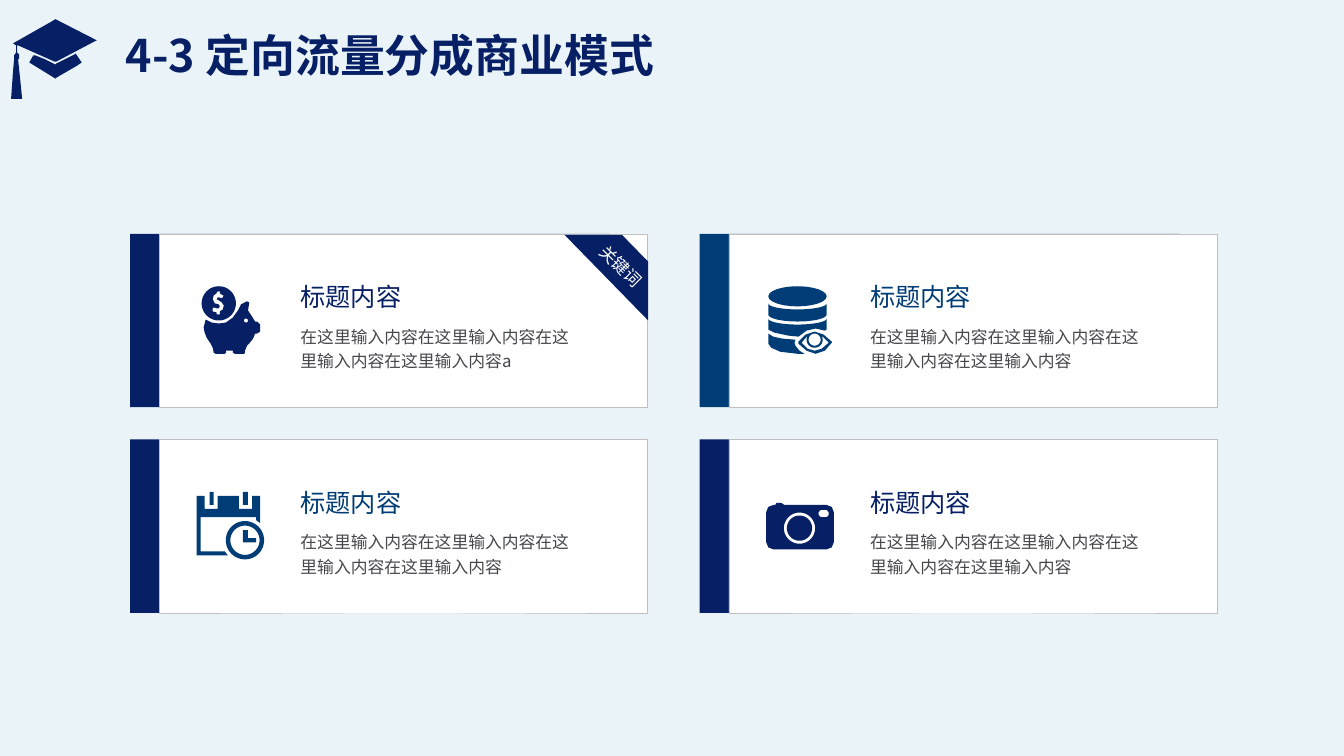
from dataclasses import dataclass
from math import cos, radians, sin

from lxml import etree
from pptx import Presentation
from pptx.dml.color import RGBColor
from pptx.enum.shapes import MSO_SHAPE
from pptx.enum.text import MSO_ANCHOR, MSO_AUTO_SIZE, PP_ALIGN
from pptx.oxml.ns import qn
from pptx.util import Pt

RECTANGLE, STRIPE = MSO_SHAPE.RECTANGLE, MSO_SHAPE.DIAGONAL_STRIPE
TOP, MIDDLE, BOTTOM = MSO_ANCHOR.TOP, MSO_ANCHOR.MIDDLE, MSO_ANCHOR.BOTTOM
LEFT, CENTER = PP_ALIGN.LEFT, PP_ALIGN.CENTER
FIT_TEXT, FIXED = MSO_AUTO_SIZE.SHAPE_TO_FIT_TEXT, MSO_AUTO_SIZE.NONE
EMU_PER_PX = 9144  # 100 px to the inch


@dataclass(frozen=True)
class Theme:
    font: str = "Noto Sans CJK SC"
    background: str = "EAF4F8"
    navy: str = "071F65"
    blue: str = "003D76"
    white: str = "FFFFFF"
    border: str = "BFBFBF"
    body: str = "454749"
    title_size: int = 32
    heading_size: int = 18
    body_size: int = 12


THEME = Theme()


def px(value):
    return round(value * EMU_PER_PX)


def arc(center_x, center_y, radius_x, radius_y, start, end, steps=24):
    """Points of an elliptical arc; angles run clockwise from the right."""
    angles = [radians(start + (end - start) * step / steps) for step in range(steps + 1)]
    return [(center_x + radius_x * cos(a), center_y + radius_y * sin(a)) for a in angles]


def circle(center_x, center_y, radius):
    return arc(center_x, center_y, radius, radius, 0, 360, 48)


def box_outline(left, top, right, bottom):
    return [(left, top), (right, top), (right, bottom), (left, bottom)]


# Icon outlines are measured from the top left corner of their card.
PIGGY_BANK = [
    circle(88, 69, 17),
    [(87, 57), (86, 58), (86, 59), (83, 61), (82, 65), (84, 69), (88, 70), (89, 72),
     (88, 74), (86, 74), (83, 73), (82, 74), (82, 77), (86, 78), (86, 80), (89, 80),
     (89, 77), (92, 75), (93, 71), (91, 68), (88, 66), (86, 65), (87, 63), (88, 63),
     (91, 64), (92, 63), (93, 61), (92, 61), (89, 59), (89, 57)],
    [(116, 67), (118, 68), (118, 70), (117, 76), (121, 82), (124, 87), (126, 87),
     (129, 90), (129, 97), (126, 99), (124, 99), (122, 104), (118, 109), (116, 111),
     (114, 116), (114, 118), (113, 119), (104, 119), (102, 118), (102, 116), (95, 116),
     (95, 118), (94, 119), (85, 119), (83, 118), (82, 113), (80, 109), (76, 103),
     (74, 98), (73, 93), (75, 85), (81, 88), (88, 89), (95, 88), (102, 83), (107, 76),
     (110, 70)],
    circle(115, 86, 2),
]
DATABASE = [
    arc(97, 62, 29, 10, 0, 360),
    arc(97, 69, 29, 6, 180, 0) + arc(97, 80, 29, 7, 0, 180),
    arc(97, 84, 29, 6, 180, 0)
    + [(126, 95), (124, 96), (115, 94), (106, 96), (98, 102), (88, 101), (74, 98), (68, 95)],
    [(68, 99), (73, 102), (82, 104), (95, 105), (94, 108), (95, 111), (99, 116),
     (104, 119), (97, 119), (80, 117), (71, 113), (68, 109)],
    [(98, 107), (105, 100), (114, 97), (123, 100), (131, 107), (131, 108), (124, 116),
     (115, 119), (106, 116), (98, 109)],
    arc(114, 105, 8, 8, -30, 210)
    + [(101, 108), (107, 114), (114, 116), (121, 114), (128, 108)],
    circle(114, 105, 6),
]
CALENDAR = [
    [(66, 56), (74, 56), (74, 69), (87, 69), (87, 56), (108, 56), (108, 69), (121, 69),
     (121, 56), (129, 56), (129, 83), (125, 80), (125, 77), (70, 77), (70, 111),
     (94, 111), (97, 115), (66, 115)],
    box_outline(79, 52, 83, 65),
    box_outline(112, 52, 117, 65),
    circle(114, 100, 19),
    circle(114, 100, 14.5),
    [(112, 90), (117, 90), (117, 98), (125, 98), (125, 102), (112, 102)],
]
CAMERA = [
    [(76, 63), (81, 63), (84, 65), (126, 65), (131, 67), (133, 72), (133, 102),
     (131, 107), (126, 109), (73, 109), (68, 107), (66, 102), (66, 72), (68, 67),
     (73, 65), (75, 65)],
    circle(99, 88, 15.5),
    circle(99, 88, 12.5),
    [(120, 70), (126, 70), (128, 72), (128, 75), (126, 77), (120, 77), (118, 75), (118, 72)],
]
CAP_BOARD = [[
    (17, 45), (17, 52), (19, 54), (19, 58), (18, 59), (20, 78), (22, 98), (11, 98),
    (13, 70), (14, 59), (14, 55), (16, 52), (16, 45), (13, 43), (50, 22), (55, 19),
    (96, 40), (92, 42), (56, 61), (54, 61), (18, 45)]]
CAP_BASE = [[
    (29, 62), (33, 55), (35, 55), (45, 59), (55, 64), (56, 63), (74, 54), (75, 53),
    (81, 62), (75, 66), (56, 77), (55, 78)]]

HEADING = "标题内容"
BODY = "在这里输入内容" * 4
CARDS = [
    (PIGGY_BANK, THEME.navy, BODY + "a"),
    (DATABASE, THEME.blue, BODY),
    (CALENDAR, THEME.blue, BODY),
    (CAMERA, THEME.navy, BODY),
]
BAR_COLORS = [THEME.navy, THEME.blue, THEME.navy, THEME.navy]


def paint(shape, fill, line=None):
    shape.shadow.inherit = False
    shape.fill.solid()
    shape.fill.fore_color.rgb = RGBColor.from_string(fill)
    if line:
        shape.line.color.rgb = RGBColor.from_string(line)
        shape.line.width = Pt(0.25)
    else:
        shape.line.fill.background()


def add_block(slide, kind, box, fill, line=None):
    shape = slide.shapes.add_shape(kind, *map(px, box))
    paint(shape, fill, line)
    return shape


def add_outline(slide, left, top, contours, fill):
    """Draw all contours as one shape, so inner contours become holes."""
    placed = [[(px(left + x), px(top + y)) for x, y in contour] for contour in contours]
    builder = slide.shapes.build_freeform(*placed[0][0], scale=1.0)
    for index, contour in enumerate(placed):
        if index:
            builder.move_to(*contour[0])
        builder.add_line_segments(contour[1:], close=True)
    paint(builder.convert_to_shape(), fill)


def add_text(slide, box, text, *, size, color, bold=False, anchor=TOP, align=LEFT,
             spacing=None, wrap=True, inset=True, fit=FIXED, rotation=0):
    shape = slide.shapes.add_textbox(*map(px, box))
    shape.rotation = rotation
    frame = shape.text_frame
    frame.word_wrap, frame.auto_size, frame.vertical_anchor = wrap, fit, anchor
    if not inset:
        frame.margin_left = frame.margin_right = frame.margin_top = frame.margin_bottom = 0
    paragraph = frame.paragraphs[0]
    paragraph.alignment = align
    if spacing:
        paragraph.line_spacing = spacing
    run = paragraph.add_run()
    run.text = text
    font = run.font
    font.name, font.size, font.bold = THEME.font, Pt(size), bold
    font.color.rgb = RGBColor.from_string(color)
    east_asian = etree.SubElement(run._r.get_or_add_rPr(), qn("a:ea"))
    east_asian.set("typeface", THEME.font)


def add_header(slide, left, top):
    for contours in (CAP_BOARD, CAP_BASE):
        add_outline(slide, left, top, contours, THEME.navy)
    add_text(slide, (left + 115, top + 9, 1209, 77), "4-3 定向流量分成商业模式",
             size=THEME.title_size, color=THEME.navy, bold=True, anchor=BOTTOM, spacing=0.9)


def add_card(slide, left, top, icon, color, body, bar_color):
    add_block(slide, RECTANGLE, (left, top, 476, 172), bar_color)
    add_block(slide, RECTANGLE, (left + 29, top, 484, 172), THEME.white, THEME.border)
    add_outline(slide, left, top, icon, color)
    add_text(slide, (left + 169, top + 89, 269, 46), body, size=THEME.body_size,
             color=THEME.body, anchor=MIDDLE, spacing=1.2, inset=False, fit=FIT_TEXT)
    add_text(slide, (left + 169, top + 47, 101, 30), HEADING, size=THEME.heading_size,
             color=color, anchor=BOTTOM, wrap=False, inset=False, fit=FIT_TEXT)


def add_ribbon(slide, left, top):
    stripe = add_block(slide, STRIPE, (left, top, 83, 85), THEME.navy)
    stripe.adjustments[0] = 0.314
    stripe.element.spPr.xfrm.set("flipH", "1")
    add_text(slide, (left + 19, top + 16, 74, 31), "关键词", size=THEME.body_size,
             color=THEME.white, align=CENTER, wrap=False, rotation=45)


def main():
    presentation = Presentation()
    presentation.slide_width, presentation.slide_height = px(1333), px(750)
    slide = presentation.slides.add_slide(presentation.slide_layouts[6])
    slide.background.fill.solid()
    slide.background.fill.fore_color.rgb = RGBColor.from_string(THEME.background)
    add_header(slide, 0, 0)
    left, top, column_step, row_step = 129, 232, 565, 204
    for index, (card, bar_color) in enumerate(zip(CARDS, BAR_COLORS)):
        row, column = divmod(index, 2)
        add_card(slide, left + column * column_step, top + row * row_step, *card, bar_color)
    add_ribbon(slide, left + 431, top + 1)
    presentation.save("out.pptx")


if __name__ == "__main__":
    main()
